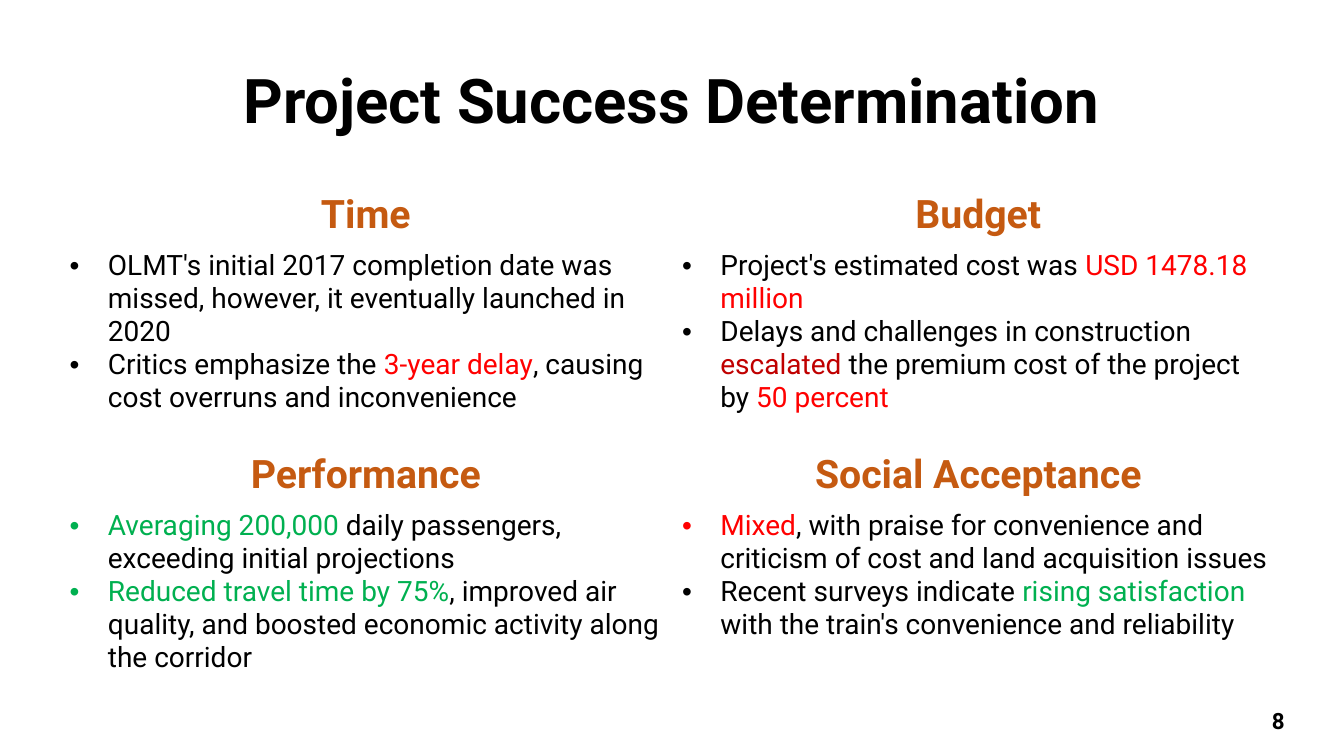
from lxml.etree import SubElement
from pptx import Presentation
from pptx.dml.color import RGBColor
from pptx.enum.text import MSO_ANCHOR, PP_ALIGN
from pptx.oxml.ns import qn
from pptx.util import Inches, Pt

FONT = "Roboto"
BLACK, WHITE, ORANGE = "000000", "FFFFFF", "C55A11"
RED, DARK_RED, GREEN = "FF0000", "C00000", "00B050"
BULLET_INDENT = Inches(0.38)
ROW_HEIGHTS = (0.55, 2.01, 0.55, 1.72)

# Two criteria per band; each bullet is a list of (text, colour) parts.
CRITERIA = [
    [
        ("Time", [
            [("OLMT's initial 2017 completion date was missed, however, "
              "it eventually launched in 2020", BLACK)],
            [("Critics emphasize the ", BLACK), ("3-year delay", RED),
             (", causing cost overruns and inconvenience", BLACK)],
        ]),
        ("Budget", [
            [("Project's estimated cost was ", BLACK), ("USD 1478.18 million", RED)],
            [("Delays and challenges in construction ", BLACK), ("escalated", DARK_RED),
             (" the premium cost of the project by ", BLACK), ("50 percent", RED)],
        ]),
    ],
    [
        ("Performance", [
            [("Averaging 200,000 ", GREEN),
             ("daily passengers, exceeding initial projections", BLACK)],
            [("Reduced travel time by 75%", GREEN),
             (", improved air quality, and boosted economic activity "
              "along the corridor", BLACK)],
        ]),
        ("Social Acceptance", [
            [("Mixed", RED),
             (", with praise for convenience and criticism of cost and "
              "land acquisition issues", BLACK)],
            [("Recent surveys indicate ", BLACK), ("rising satisfaction ", GREEN),
             ("with the train's convenience and reliability", BLACK)],
        ]),
    ],
]


def rgb(colour):
    return RGBColor.from_string(colour)


def set_font(paragraph, size, bold, colour=BLACK):
    font = paragraph.font
    font.name, font.size, font.bold = FONT, Pt(size), bold
    font.color.rgb = rgb(colour)


def add_bullet(paragraph):
    """Give the paragraph a hanging round bullet."""
    properties = paragraph._p.get_or_add_pPr()
    properties.set("marL", str(BULLET_INDENT))
    properties.set("indent", str(-BULLET_INDENT))
    SubElement(properties, qn("a:buFont")).set("typeface", "Arial")
    SubElement(properties, qn("a:buChar")).set("char", "•")


def add_line(slide, box, text, size, align):
    """Place one bold line, centred vertically in its box."""
    frame = slide.shapes.add_textbox(*map(Inches, box)).text_frame
    frame.word_wrap = True
    frame.vertical_anchor = MSO_ANCHOR.MIDDLE
    line = frame.paragraphs[0]
    line.text = text
    line.alignment = align
    set_font(line, size, True)
    return line


def fill_heading(cell, heading):
    paragraph = cell.text_frame.paragraphs[0]
    paragraph.text = heading
    paragraph.alignment = PP_ALIGN.CENTER
    set_font(paragraph, 28, True, ORANGE)


def fill_findings(cell, findings):
    frame = cell.text_frame
    for index, parts in enumerate(findings):
        paragraph = frame.add_paragraph() if index else frame.paragraphs[0]
        add_bullet(paragraph)
        set_font(paragraph, 20, False)
        for text, colour in parts:
            run = paragraph.add_run()
            run.text = text
            run.font.color.rgb = rgb(colour)


def add_criteria_table(slide, box):
    """Lay out each band of criteria as a heading row above a findings row."""
    table = slide.shapes.add_table(
        len(ROW_HEIGHTS), len(CRITERIA[0]), *map(Inches, box)).table
    for row, height in zip(table.rows, ROW_HEIGHTS):
        row.height = Inches(height)
    for cell in table.iter_cells():
        cell.fill.solid()
        cell.fill.fore_color.rgb = rgb(WHITE)
    for band, criteria in enumerate(CRITERIA):
        for column, (heading, findings) in enumerate(criteria):
            fill_heading(table.cell(2 * band, column), heading)
            fill_findings(table.cell(2 * band + 1, column), findings)


def main():
    deck = Presentation()
    deck.slide_width, deck.slide_height = Inches(13.33), Inches(7.5)
    slide = deck.slides.add_slide(deck.slide_layouts[6])
    title = add_line(slide, (0.59, 0.4, 12.15, 1.26),
                     "Project Success Determination", 44, PP_ALIGN.CENTER)
    title.line_spacing = 0.9
    add_criteria_table(slide, (0.59, 1.86, 12.15, sum(ROW_HEIGHTS)))
    add_line(slide, (9.42, 6.95, 3.42, 0.4), "8", 16, PP_ALIGN.RIGHT)
    deck.save("out.pptx")


if __name__ == "__main__":
    main()
